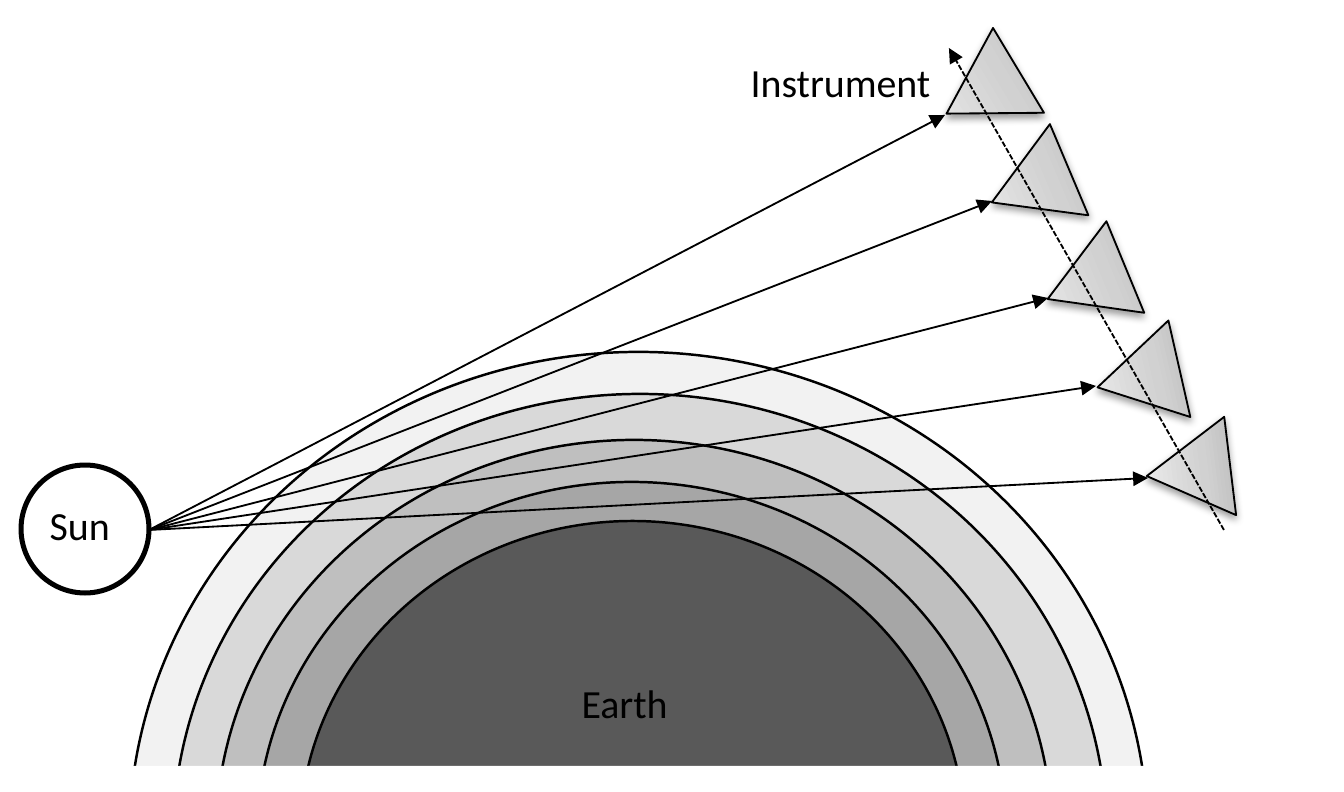
from lxml import etree
from pptx import Presentation
from pptx.dml.color import RGBColor
from pptx.enum.dml import MSO_LINE
from pptx.enum.shapes import MSO_CONNECTOR, MSO_SHAPE as SHAPE
from pptx.oxml import parse_xml
from pptx.oxml.ns import nsdecls, qn
from pptx.util import Pt

EMU = 914400 / 179.7  # one pixel
COLORS = {
    "black": "000000", "white": "FFFFFF", "earth": "595959",
    "air1": "F2F2F2", "air2": "D9D9D9", "air3": "BFBFBF", "air4": "A6A6A6",
    "dark": "BDBDBD", "middle": "D1D1D1", "light": "EEEEEE",
}

deck = Presentation()
deck.slide_width, deck.slide_height = round(1344 * EMU), round(792 * EMU)
page = deck.slides.add_slide(deck.slide_layouts[6])


def draw_shape(kind, bounds, fill=None, line=0):
    """Add a preset shape at pixel bounds, with no shadow; line is in points."""
    shape = page.shapes.add_shape(kind, *[round(n * EMU) for n in bounds])
    shape.shadow.inherit = False
    if fill:
        shape.fill.solid()
        shape.fill.fore_color.rgb = RGBColor.from_string(COLORS[fill])
    if line:
        shape.line.color.rgb = RGBColor.from_string(COLORS["black"])
        shape.line.width = Pt(line)
    else:
        shape.line.fill.background()
    return shape


def write_text(text, bounds, size=16, font="Calibri", color="black"):
    """Add a one-line label at pixel bounds."""
    box = page.shapes.add_textbox(*[round(n * EMU) for n in bounds])
    box.text_frame.word_wrap = False
    span = box.text_frame.paragraphs[0].add_run()
    span.text = text
    span.font.size, span.font.name = Pt(size), font
    span.font.color.rgb = RGBColor.from_string(COLORS[color])


# Atmosphere layers around the Earth, cut off by a white horizon
layers = [
    ("air1", (129, 352, 1019, 976)),
    ("air2", (173, 394, 934, 891)),
    ("air3", (216, 440, 836, 792)),
    ("air4", (257, 482, 749, 708)),
    ("earth", (300, 521, 665, 631)),
]
for color, bounds in layers:
    draw_shape(SHAPE.OVAL, bounds, fill=color, line=1)
draw_shape(SHAPE.RECTANGLE, (63, 766, 1129, 568), fill="white")
draw_shape(SHAPE.OVAL, (21, 465, 128, 128), fill="white", line=2)

write_text("Earth", (564, 670, 124, 66))
write_text("Sun", (32, 492, 97, 66))
write_text("Instrument", (733, 49, 217, 66))

# Instrument positions: left, top, rotation, and the tip that the ray meets
instruments = [
    (1139, 429, 263.1, (1148, 478)),
    (1089, 336, 257.2, (1096, 386)),
    (1037, 241, 247.6, (1048, 298)),
    (981, 144, 247.1, (992, 201)),
    (933, 50, 239, (945, 115)),
]
stops = "".join(
    f'<a:gs pos="{percent * 1000}"><a:srgbClr val="{COLORS[color]}"/></a:gs>'
    for percent, color in [(0, "dark"), (35, "middle"), (100, "light")])
GRADIENT = (f'<a:gradFill {nsdecls("a")} rotWithShape="1"><a:gsLst>{stops}</a:gsLst>'
            '<a:lin ang="16200000" scaled="0"/></a:gradFill>')
SHADOW = (f'<a:outerShdw {nsdecls("a")} blurRad="40000" dist="20000" dir="5400000" '
          f'rotWithShape="0"><a:srgbClr val="{COLORS["black"]}">'
          '<a:alpha val="38000"/></a:srgbClr></a:outerShdw>')
for left, top, rotation, tip in instruments:
    triangle = draw_shape(SHAPE.ISOSCELES_TRIANGLE, (left, top, 99, 84), line=0.75)
    triangle.rotation = rotation
    properties = triangle.element.spPr
    properties.find(qn("a:prstGeom")).addnext(parse_xml(GRADIENT))
    properties.find(qn("a:effectLst")).append(parse_xml(SHADOW))

# Sun rays, then the dashed path of the instrument
sun_edge = (149, 530)
arrows = [(sun_edge, tip, MSO_LINE.SOLID) for *_, tip in instruments]
arrows.append(((1224, 530), (949, 48), MSO_LINE.SQUARE_DOT))
for start, end, dash in arrows:
    arrow = page.shapes.add_connector(
        MSO_CONNECTOR.STRAIGHT, *[round(n * EMU) for n in start + end])
    arrow.line.color.rgb = RGBColor.from_string(COLORS["black"])
    arrow.line.width = Pt(0.75)
    arrow.line.dash_style = dash
    properties = arrow.element.spPr
    etree.SubElement(properties.find(qn("a:ln")), qn("a:tailEnd"), type="triangle")
    etree.SubElement(properties, qn("a:effectLst"))

deck.save("out.pptx")
